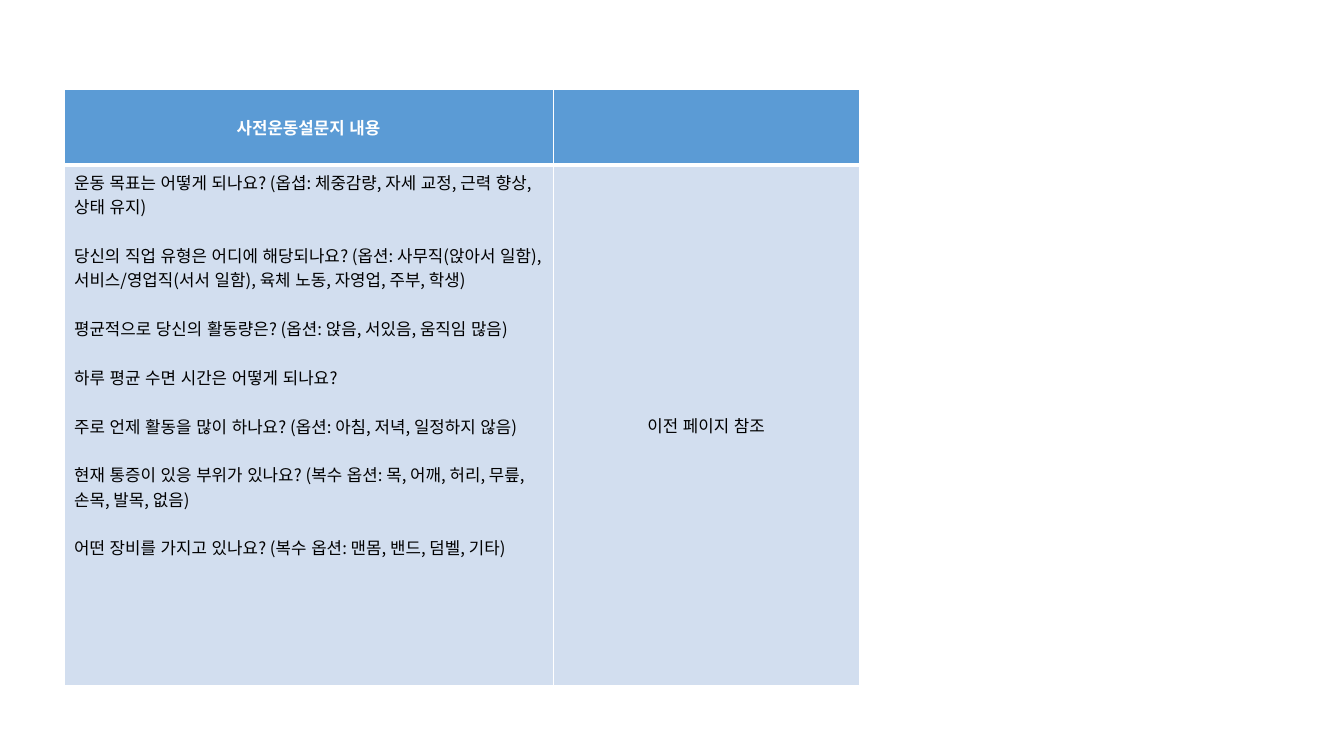
"""Builds the slide with the pre-exercise questionnaire table."""
from dataclasses import dataclass
from lxml.etree import SubElement
from pptx import Presentation
from pptx.dml.color import RGBColor as RGB
from pptx.enum.lang import MSO_LANGUAGE_ID as LANG
from pptx.enum.text import MSO_ANCHOR as ANCHOR, PP_ALIGN as ALIGN
from pptx.oxml import parse_xml
from pptx.oxml.ns import nsdecls, qn
from pptx.util import Emu, Inches, Pt


@dataclass(frozen=True)
class Theme:
    font: str = "Noto Sans CJK KR"
    size: int = 12
    gap: float = 17.4
    thin: int = 1
    thick: int = 3
    header: str = "5B9BD5"
    body: str = "D2DEEF"
    white: str = "FFFFFF"
    black: str = "000000"


THEME = Theme()
PX = 914400 / 100.8


def px(length):
    return Emu(round(length * PX))


def write(frame, lines, color=THEME.black, bold=False, align=ALIGN.LEFT):
    for index, line in enumerate(lines):
        paragraph = frame.paragraphs[0] if index == 0 else frame.add_paragraph()
        paragraph.alignment = align
        if index < len(lines) - 1:
            paragraph.space_after = Pt(THEME.gap)
        run = paragraph.add_run()
        run.text = line
        font = run.font
        font.name, font.size, font.bold = THEME.font, Pt(THEME.size), bold
        font.color.rgb = RGB.from_string(color)
        font.language_id = LANG.KOREAN
        SubElement(font._element, qn("a:ea")).set("typeface", THEME.font)


deck = Presentation()
deck.slide_width, deck.slide_height = Inches(13.33), Inches(7.5)
slide = deck.slides.add_slide(deck.slide_layouts[6])

questions = [
    "운동 목표는 어떻게 되나요? (옵셥: 체중감량, 자세 교정, 근력 향상, 상태 유지)",
    "당신의 직업 유형은 어디에 해당되나요? (옵션: 사무직(앉아서 일함), 서비스/영업직(서서 일함), 육체 노동, 자영업, 주부, 학생)",
    "평균적으로 당신의 활동량은? (옵션: 앉음, 서있음, 움직임 많음)",
    "하루 평균 수면 시간은 어떻게 되나요?",
    "주로 언제 활동을 많이 하나요? (옵션: 아침, 저녁, 일정하지 않음)",
    "현재 통증이 있응 부위가 있나요? (복수 옵션: 목, 어깨, 허리, 무릎,  손목, 발목, 없음)",
    "어떤 장비를 가지고 있나요? (복수 옵션: 맨몸, 밴드, 덤벨, 기타)",
]
column_widths = [489, 306]
row_heights = [76, 521]

survey = slide.shapes.add_table(
    2, 2, px(64), px(89), px(sum(column_widths)), px(sum(row_heights))
).table
for column, width in zip(survey.columns, column_widths):
    column.width = px(width)
for row, height in zip(survey.rows, row_heights):
    row.height = px(height)

row_styles = [
    (THEME.header, {"lnB": THEME.thick}),
    (THEME.body, {"lnT": THEME.thick}),
]
for row, (fill, heavy_edges) in zip(survey.rows, row_styles):
    for cell in row.cells:
        cell.fill.solid()
        cell.fill.fore_color.rgb = RGB.from_string(fill)
        properties = cell._tc.get_or_add_tcPr()
        for position, edge in enumerate(["lnL", "lnR", "lnT", "lnB"]):
            width = Pt(heavy_edges.get(edge, THEME.thin))
            properties.insert(position, parse_xml(
                f'<a:{edge} {nsdecls("a")} w="{width}"><a:solidFill>'
                f'<a:srgbClr val="{THEME.white}"/></a:solidFill></a:{edge}>'
            ))

heading, question_list, reference = survey.cell(0, 0), survey.cell(1, 0), survey.cell(1, 1)
heading.vertical_anchor = reference.vertical_anchor = ANCHOR.MIDDLE
write(heading.text_frame, ["사전운동설문지 내용"], color=THEME.white, bold=True, align=ALIGN.CENTER)
write(question_list.text_frame, questions)
write(reference.text_frame, ["이전 페이지 참조"], align=ALIGN.CENTER)

deck.save("out.pptx")
